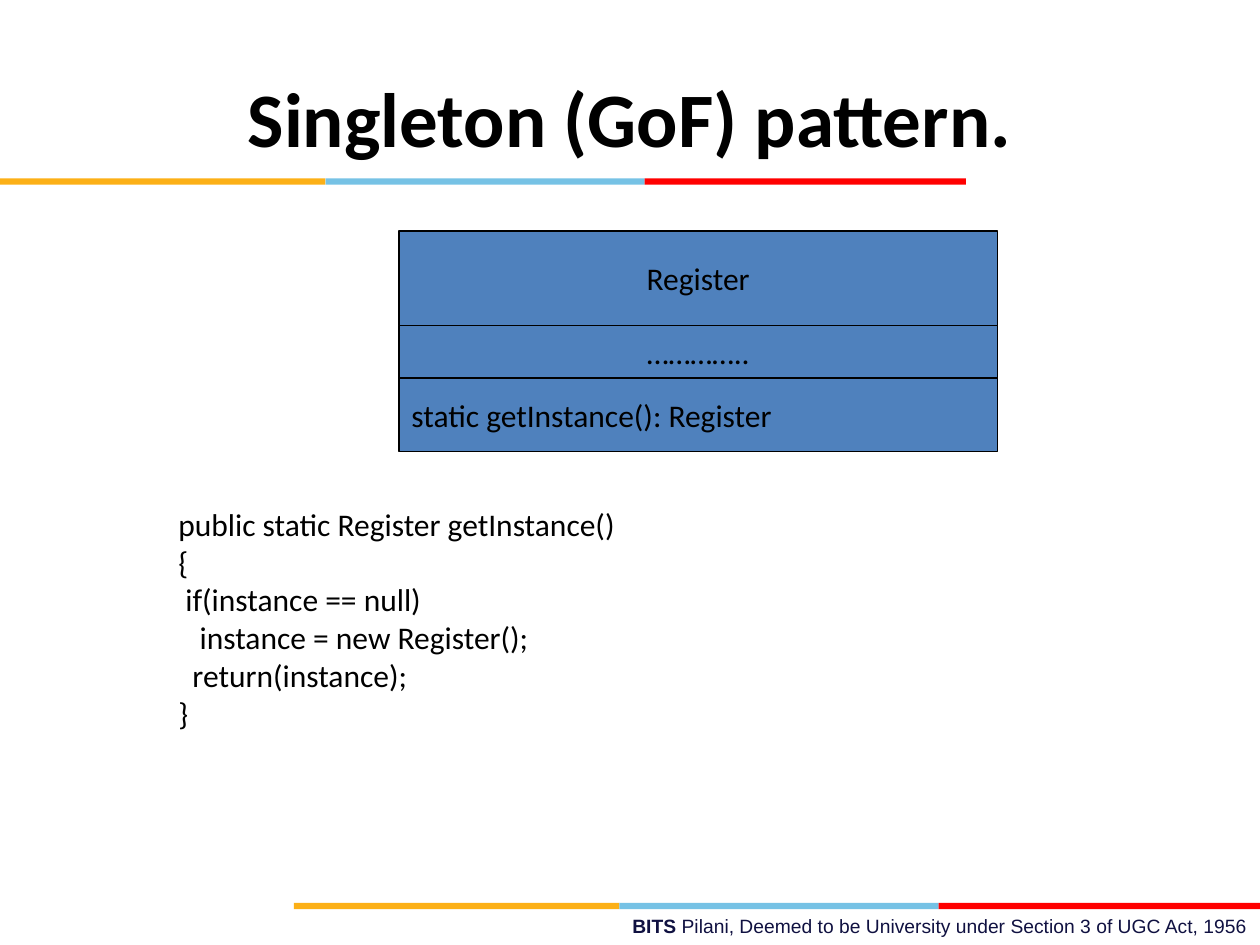
from dataclasses import dataclass

import pptx
import pptx.dml.color
import pptx.enum.shapes
import pptx.enum.text
import pptx.util

ALIGN = pptx.enum.text.PP_ALIGN
ANCHOR = pptx.enum.text.MSO_ANCHOR
COLS, ROWS = 120, 90
CELL = pptx.util.Inches(10) // COLS


@dataclass(frozen=True)
class Theme:
    font: str = "Calibri"
    footer_font: str = "Arial"
    black: str = "000000"
    navy: str = "101141"
    box: str = "4F81BD"
    stripes: tuple = ("FCB017", "76C2E5", "FF0000")
    title: int = 44
    body: int = 18
    footer: int = 11


@dataclass(frozen=True)
class Area:
    """Left, top, width and height in grid columns and rows."""
    col: float
    row: float
    cols: float
    rows: float

    def emu(self) -> list:
        return [pptx.util.Emu(round(n * CELL))
                for n in (self.col, self.row, self.cols, self.rows)]


@dataclass(frozen=True)
class Compartment:
    text: str
    rows: int
    align: ALIGN


THEME = Theme()
STRIPE_COLS = (31, 30.4, 30.6)
STRIPE_ROWS = 0.6
CLASS_BOX = (
    Compartment("Register", 9, ALIGN.CENTER),
    Compartment("…………..", 5, ALIGN.CENTER),
    Compartment("static getInstance(): Register", 7, ALIGN.LEFT),
)
CODE = """public static Register getInstance()
{
 if(instance == null)
   instance = new Register();
  return(instance);
}"""


def rgb(color: str):
    return pptx.dml.color.RGBColor.from_string(color)


def write(sp, text: str, *, size: int = THEME.body, font: str = THEME.font,
          color: str = THEME.black, align=ALIGN.LEFT, anchor=ANCHOR.TOP,
          bold: bool = False, lead: str = "", wrap: bool = False) -> None:
    """Fill a shape with one paragraph per line, after an optional bold lead."""
    tf = sp.text_frame
    tf.word_wrap = wrap
    tf.vertical_anchor = anchor
    for i, line in enumerate(text.split("\n")):
        p = tf.add_paragraph() if i else tf.paragraphs[0]
        p.alignment = align
        runs = [(line, bold)]
        if lead and i == 0:
            runs.insert(0, (lead, True))
        for content, heavy in runs:
            r = p.add_run()
            r.text = content
            r.font.name, r.font.size = font, pptx.util.Pt(size)
            r.font.bold = heavy
            r.font.color.rgb = rgb(color)


def add_box(s, area: Area, fill: str, line: str = ""):
    sp = s.shapes.add_shape(pptx.enum.shapes.MSO_SHAPE.RECTANGLE, *area.emu())
    sp.shadow.inherit = False
    sp.fill.solid()
    sp.fill.fore_color.rgb = rgb(fill)
    if line:
        sp.line.color.rgb = rgb(line)
        sp.line.width = pptx.util.Pt(0.75)
    else:
        sp.line.fill.background()
    return sp


def add_text(s, area: Area, text: str, **fmt) -> None:
    write(s.shapes.add_textbox(*area.emu()), text, **fmt)


def add_stripes(s, col: float, row: float) -> None:
    for cols, color in zip(STRIPE_COLS, THEME.stripes):
        add_box(s, Area(col, row, cols, STRIPE_ROWS), color)
        col += cols


def add_class_box(s, col: float, row: float, cols: float) -> None:
    for part in CLASS_BOX:
        sp = add_box(s, Area(col, row, cols, part.rows), THEME.box, THEME.black)
        write(sp, part.text, align=part.align, anchor=ANCHOR.MIDDLE)
        row += part.rows


def main() -> None:
    prs = pptx.Presentation()
    prs.slide_width, prs.slide_height = COLS * CELL, ROWS * CELL
    s = prs.slides.add_slide(prs.slide_layouts[6])
    add_text(s, Area(43, 86.5, 77, 3.5),
             "Pilani, Deemed to be University under Section 3 of UGC Act, 1956",
             lead="BITS ", size=THEME.footer, font=THEME.footer_font,
             color=THEME.navy, align=ALIGN.RIGHT, wrap=True)
    add_stripes(s, COLS - sum(STRIPE_COLS), 86)
    add_stripes(s, 0, 17)
    add_text(s, Area(6, 3.6, 108, 15), "Singleton (GoF) pattern.",
             size=THEME.title, bold=True, align=ALIGN.CENTER,
             anchor=ANCHOR.MIDDLE, wrap=True)
    add_class_box(s, 38, 22, 57)
    add_text(s, Area(15.8, 47.5, 48.4, 22.8), CODE)
    prs.save("out.pptx")


if __name__ == "__main__":
    main()
